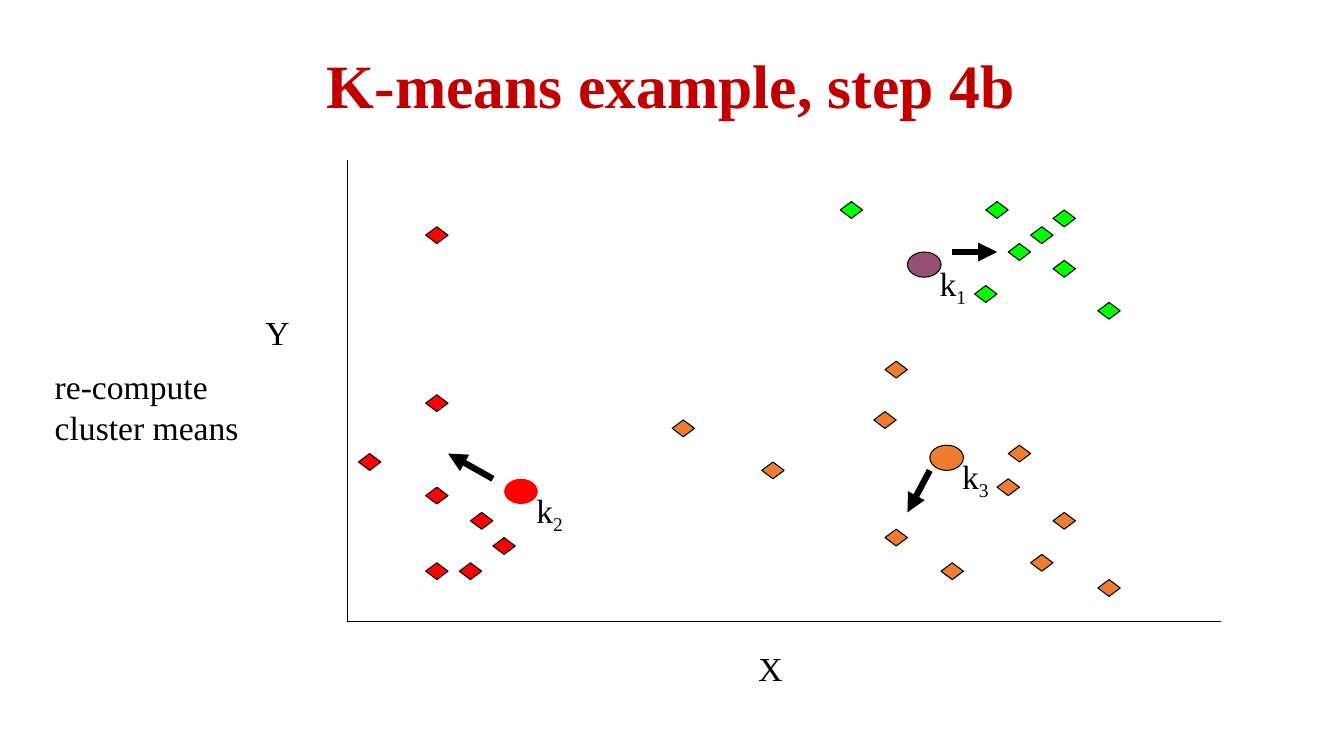
from dataclasses import dataclass

from lxml import etree
from pptx import Presentation
from pptx.dml.color import RGBColor
from pptx.enum.shapes import MSO_CONNECTOR, MSO_SHAPE
from pptx.enum.text import MSO_ANCHOR, MSO_AUTO_SIZE, PP_ALIGN
from pptx.oxml.ns import qn
from pptx.util import Inches, Pt

DIAMOND = MSO_SHAPE.DIAMOND
OVAL = MSO_SHAPE.OVAL
STRAIGHT = MSO_CONNECTOR.STRAIGHT
TOP, MIDDLE = MSO_ANCHOR.TOP, MSO_ANCHOR.MIDDLE
LEFT, CENTER = PP_ALIGN.LEFT, PP_ALIGN.CENTER
NO_AUTOFIT = MSO_AUTO_SIZE.NONE

# The slide is a grid of 120 columns by 90 rows.
SLIDE_WIDTH, SLIDE_HEIGHT = Inches(13.33), Inches(7.5)
COLUMN, ROW = Inches(1 / 9), Inches(1 / 12)
POINT_SIZE, MEAN_SIZE = 2, 3
FONT = "Times New Roman"
COLORS = {
    "title": "C00000",
    "black": "000000",
    "red": "FF0000",
    "green": "00FF00",
    "orange": "ED7D31",
    "purple": "954F72",
}

Cell = tuple[float, float]


@dataclass(frozen=True)
class Cluster:
    """A cluster's points, its mean, and the arrow showing where the mean moves."""
    number: str
    color: str
    points: list[Cell]
    mean: Cell
    mean_color: str
    mean_outlined: bool
    arrow: tuple[Cell, Cell]


@dataclass(frozen=True)
class Caption:
    text: str
    cell: Cell
    size: Cell
    wrap: bool


CLUSTERS = [
    Cluster("1", "green",
            [(88, 24), (94, 25), (92, 27), (90, 29), (94, 31), (98, 36), (75, 24), (87, 34)],
            (81, 30), "purple", True, ((85, 30), (89, 30))),
    Cluster("2", "red",
            [(42, 61), (44, 64), (41, 67), (38, 58), (38, 27), (38, 47), (38, 67), (32, 54)],
            (45, 57), "red", False, ((44, 57), (40, 54))),
    Cluster("3", "orange",
            [(60, 50), (79, 43), (79, 63), (84, 67), (89, 57), (78, 49), (68, 55),
             (94, 61), (92, 66), (90, 53), (98, 69)],
            (83, 53), "orange", True, ((83, 56), (81, 61))),
]
ORIGIN, Y_END, X_END = (31, 74), (31, 19), (109, 74)
CAPTIONS = [
    Caption("X", (66.8, 76.5), (4, 6), False),
    Caption("Y", (22.8, 36.6), (4, 6), False),
    Caption("re-compute cluster means", (4, 43), (24, 11), True),
]


def on_grid(cell: Cell) -> tuple[int, int]:
    return round(cell[0] * COLUMN), round(cell[1] * ROW)


def write_text(frame, text: str, *, subscript: str = "", size: float = 24,
               color: str = "black", bold: bool = False, align=LEFT,
               anchor=TOP, wrap: bool = True, line_spacing: float = 1.0) -> None:
    frame.auto_size = NO_AUTOFIT
    frame.word_wrap = wrap
    frame.vertical_anchor = anchor
    paragraph = frame.paragraphs[0]
    paragraph.alignment = align
    paragraph.line_spacing = line_spacing
    for part in filter(None, (text, subscript)):
        run = paragraph.add_run()
        run.text = part
        run.font.name = FONT
        run.font.size = Pt(size)
        run.font.bold = bold
        run.font.color.rgb = RGBColor.from_string(COLORS[color])
    if subscript:
        run._r.get_or_add_rPr().set("baseline", "-25000")


def add_text(slide, cell: Cell, size: Cell, text: str, **text_format) -> None:
    box = slide.shapes.add_textbox(*on_grid(cell), *on_grid(size))
    write_text(box.text_frame, text, **text_format)


def add_marker(slide, kind, cell: Cell, size: float, color: str,
               outlined: bool = True) -> None:
    marker = slide.shapes.add_shape(kind, *on_grid(cell), *on_grid((size, size)))
    marker.shadow.inherit = False
    marker.fill.solid()
    marker.fill.fore_color.rgb = RGBColor.from_string(COLORS[color])
    if outlined:
        marker.line.color.rgb = RGBColor.from_string(COLORS["black"])
        marker.line.width = Pt(0.75)
    else:
        marker.line.fill.background()


def add_line(slide, start: Cell, end: Cell, width: float = 0.75,
             arrow: bool = False) -> None:
    line = slide.shapes.add_connector(STRAIGHT, *on_grid(start), *on_grid(end))
    line.line.color.rgb = RGBColor.from_string(COLORS["black"])
    line.line.width = Pt(width)
    if arrow:
        etree.SubElement(line.line._get_or_add_ln(), qn("a:tailEnd"), type="triangle")
    etree.SubElement(line._element.spPr, qn("a:effectLst"))


def add_title(slide, text: str) -> None:
    title = slide.shapes.title
    title.left, title.top = on_grid((3, 7))
    title.width, title.height = on_grid((113.8, 7))
    write_text(title.text_frame, text, size=44, color="title", bold=True,
               align=CENTER, anchor=MIDDLE, line_spacing=0.9)


def add_cluster(slide, cluster: Cluster) -> None:
    for point in cluster.points:
        add_marker(slide, DIAMOND, point, POINT_SIZE, cluster.color)
    add_line(slide, *cluster.arrow, width=4.5, arrow=True)
    add_marker(slide, OVAL, cluster.mean, MEAN_SIZE, cluster.mean_color,
               cluster.mean_outlined)
    column, row = cluster.mean
    add_text(slide, (column + 2, row + 1), (7, 6), "k",
             subscript=cluster.number, anchor=MIDDLE)


def main() -> None:
    presentation = Presentation()
    presentation.slide_width = SLIDE_WIDTH
    presentation.slide_height = SLIDE_HEIGHT
    slide = presentation.slides.add_slide(presentation.slide_layouts[5])
    add_title(slide, "K-means example, step 4b")
    for axis_end in (Y_END, X_END):
        add_line(slide, ORIGIN, axis_end)
    for caption in CAPTIONS:
        add_text(slide, caption.cell, caption.size, caption.text, wrap=caption.wrap)
    for cluster in CLUSTERS:
        add_cluster(slide, cluster)
    presentation.save("out.pptx")


if __name__ == "__main__":
    main()
